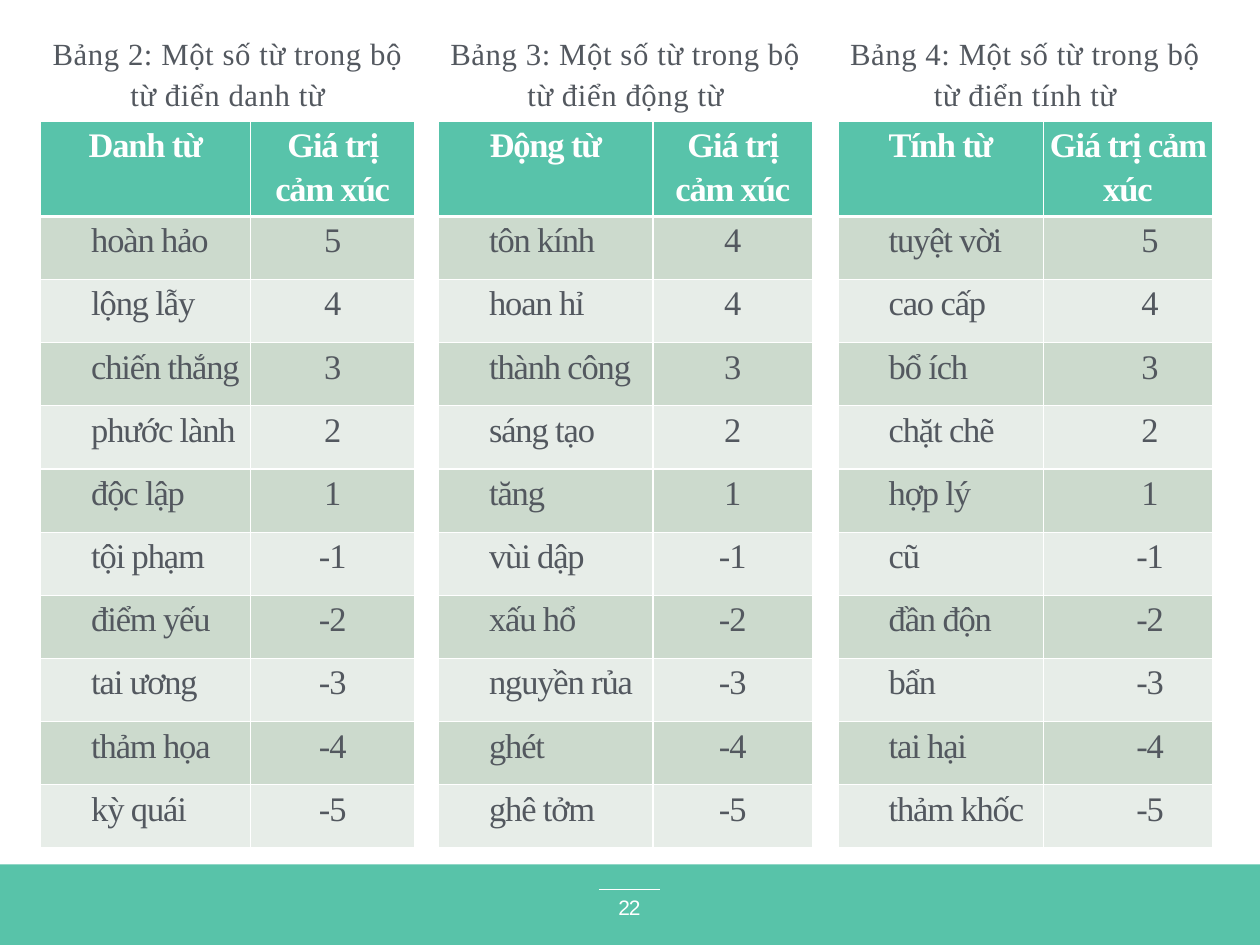
from dataclasses import dataclass

from lxml import etree
from pptx import Presentation
from pptx import util as u
from pptx.dml.color import RGBColor
from pptx.enum import shapes, text
from pptx.oxml import ns


@dataclass(frozen=True)
class Theme:
    teal: str = "58C3A9"
    header: str = "58C3AA"
    band_dark: str = "CCDACD"
    band_light: str = "E7EDE8"
    ink: str = "53585F"
    white: str = "FFFFFF"
    serif: str = "Times New Roman"
    sans: str = "Arial"
    cell_size: int = 28
    caption_size: int = 25
    number_size: int = 17
    tight: float = -0.9
    loose: float = 0.5


def write(frame, content, *, font, size, color, bold=False, tracking=0.0,
          align=text.PP_ALIGN.CENTER, line_spacing=1.0, space_after=0, indent=0):
    """Fill a text frame; tracking is in points, indent in inches."""
    frame.word_wrap = True
    paragraph = frame.paragraphs[0]
    paragraph.alignment = align
    paragraph.line_spacing = line_spacing
    paragraph.space_after = u.Pt(space_after)
    properties = paragraph._p.get_or_add_pPr()
    properties.set("marL", "0")
    properties.set("indent", str(u.Inches(indent)))
    run = paragraph.add_run()
    run.text = content
    run.font.name = font
    run.font.size = u.Pt(size)
    run.font.bold = bold
    run.font.color.rgb = RGBColor.from_string(color)
    run._r.get_or_add_rPr().set("spc", str(round(tracking * 100)))


def draw_borders(cell, color, **widths):
    """Set borders in points, keyed L, R, T, B in that order."""
    properties = cell._tc.get_or_add_tcPr()
    for side, width in widths.items():
        border = etree.SubElement(properties, ns.qn(f"a:ln{side}"), w=str(u.Pt(width)))
        fill = etree.SubElement(border, ns.qn("a:solidFill"))
        etree.SubElement(fill, ns.qn("a:srgbClr"), val=color)


class SlideBuilder:
    def __init__(self, slide, theme):
        self.slide = slide
        self.theme = theme

    def bar(self, left, top, width, height):
        band = self.slide.shapes.add_shape(
            shapes.MSO_SHAPE.RECTANGLE, *map(u.Inches, (left, top, width, height)))
        band.shadow.inherit = False
        band.fill.solid()
        band.fill.fore_color.rgb = RGBColor.from_string(self.theme.teal)
        band.line.fill.background()

    def rule(self, left, right, y):
        line = self.slide.shapes.add_connector(
            shapes.MSO_CONNECTOR.STRAIGHT, *map(u.Inches, (left, y, right, y)))
        line.line.color.rgb = RGBColor.from_string(self.theme.white)
        line.line.width = u.Pt(0.5)
        etree.SubElement(line._element.spPr, ns.qn("a:effectLst"))

    def label(self, content, left, top, width, height, margin, **style):
        frame = self.slide.shapes.add_textbox(
            *map(u.Inches, (left, top, width, height))).text_frame
        frame.vertical_anchor = text.MSO_ANCHOR.MIDDLE
        frame.margin_left = frame.margin_right = u.Inches(margin)
        frame.margin_top = frame.margin_bottom = u.Inches(margin)
        write(frame, content, **style)

    def lexicon(self, rows, left, top, widths, height, header_height, value_indent):
        """Draw a table of words and sentiment values; the first row is the header."""
        table = self.slide.shapes.add_table(
            len(rows), len(widths),
            *map(u.Inches, (left, top, sum(widths), height))).table
        table.horz_banding = False
        for column, width in zip(table.columns, widths):
            column.width = u.Inches(width)
        row_height = (height - header_height) / (len(rows) - 1)
        for i, entry in enumerate(rows):
            table.rows[i].height = u.Inches(row_height if i else header_height)
            for j, content in enumerate(entry):
                indent = (0.5, value_indent)[j] if i else 0
                self.cell(table.cell(i, j), str(content), i, j, indent)

    def cell(self, cell, content, row, column, indent):
        theme = self.theme
        is_header = row == 0
        cell.margin_left = cell.margin_right = u.Inches(0.07)
        cell.margin_top = cell.margin_bottom = 0
        draw_borders(cell, theme.white, L=1, R=1,
                     T=3 if row == 1 else 1, B=3 if is_header else 1)
        band = theme.band_dark if row % 2 else theme.band_light
        cell.fill.solid()
        cell.fill.fore_color.rgb = RGBColor.from_string(theme.header if is_header else band)
        is_word = column == 0 and not is_header
        write(cell.text_frame, content, font=theme.serif, size=theme.cell_size,
              color=theme.white if is_header else theme.ink, bold=is_header,
              tracking=theme.tight, line_spacing=1.15, space_after=6, indent=indent,
              align=text.PP_ALIGN.LEFT if is_word else text.PP_ALIGN.CENTER)


VALUES = [5, 4, 3, 2, 1, -1, -2, -3, -4, -5]

# left edge, column widths, value indent, number, word class, values, words
LEXICONS = [
    (0.46, (2.37, 1.85), 0, 2, "Danh từ", VALUES,
     ["hoàn hảo", "lộng lẫy", "chiến thắng", "phước lành", "độc lập",
      "tội phạm", "điểm yếu", "tai ương", "thảm họa", "kỳ quái"]),
    (4.95, (2.42, 1.8), 0, 3, "Động từ", [4] + VALUES[1:],
     ["tôn kính", "hoan hỉ", "thành công", "sáng tạo", "tăng",
      "vùi dập", "xấu hổ", "nguyền rủa", "ghét", "ghê tởm"]),
    (9.46, (2.32, 1.9), 0.5, 4, "Tính từ", VALUES,
     ["tuyệt vời", "cao cấp", "bổ ích", "chặt chẽ", "hợp lý",
      "cũ", "đần độn", "bẩn", "tai hại", "thảm khốc"]),
]


def main():
    deck = Presentation()
    deck.slide_width, deck.slide_height = u.Inches(14.22), u.Inches(10.67)
    theme = Theme()
    page = SlideBuilder(deck.slides.add_slide(deck.slide_layouts[6]), theme)

    page.bar(0, 9.76, 14.22, 0.91)
    page.rule(6.76, 7.45, 10.04)
    page.label("22", 6.82, 10.05, 0.57, 0.42, 0.05, font=theme.sans,
               size=theme.number_size, color=theme.white,
               tracking=theme.tight, line_spacing=0.9)

    for left, widths, value_indent, number, word_class, values, words in LEXICONS:
        page.label(f"Bảng {number}: Một số từ trong bộ từ điển {word_class.lower()}",
                   left, 0.29, sum(widths), 1.04, 0.06, font=theme.serif,
                   size=theme.caption_size, color=theme.ink,
                   tracking=theme.loose, line_spacing=1.1)
        rows = [(word_class, "Giá trị cảm xúc"), *zip(words, values)]
        page.lexicon(rows, left, 1.37, widths, 8.2, 1.07, value_indent)

    deck.save("out.pptx")


if __name__ == "__main__":
    main()
